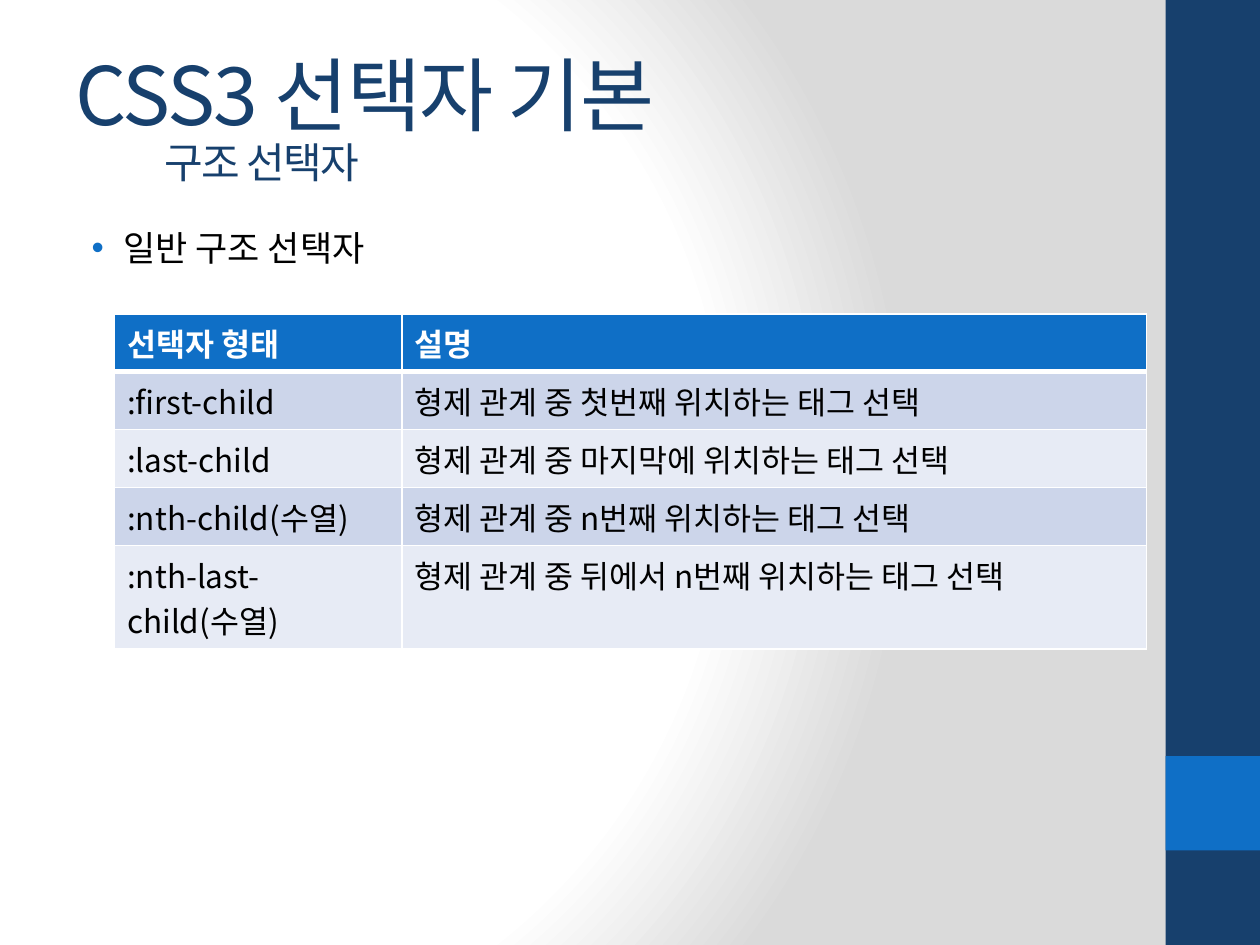
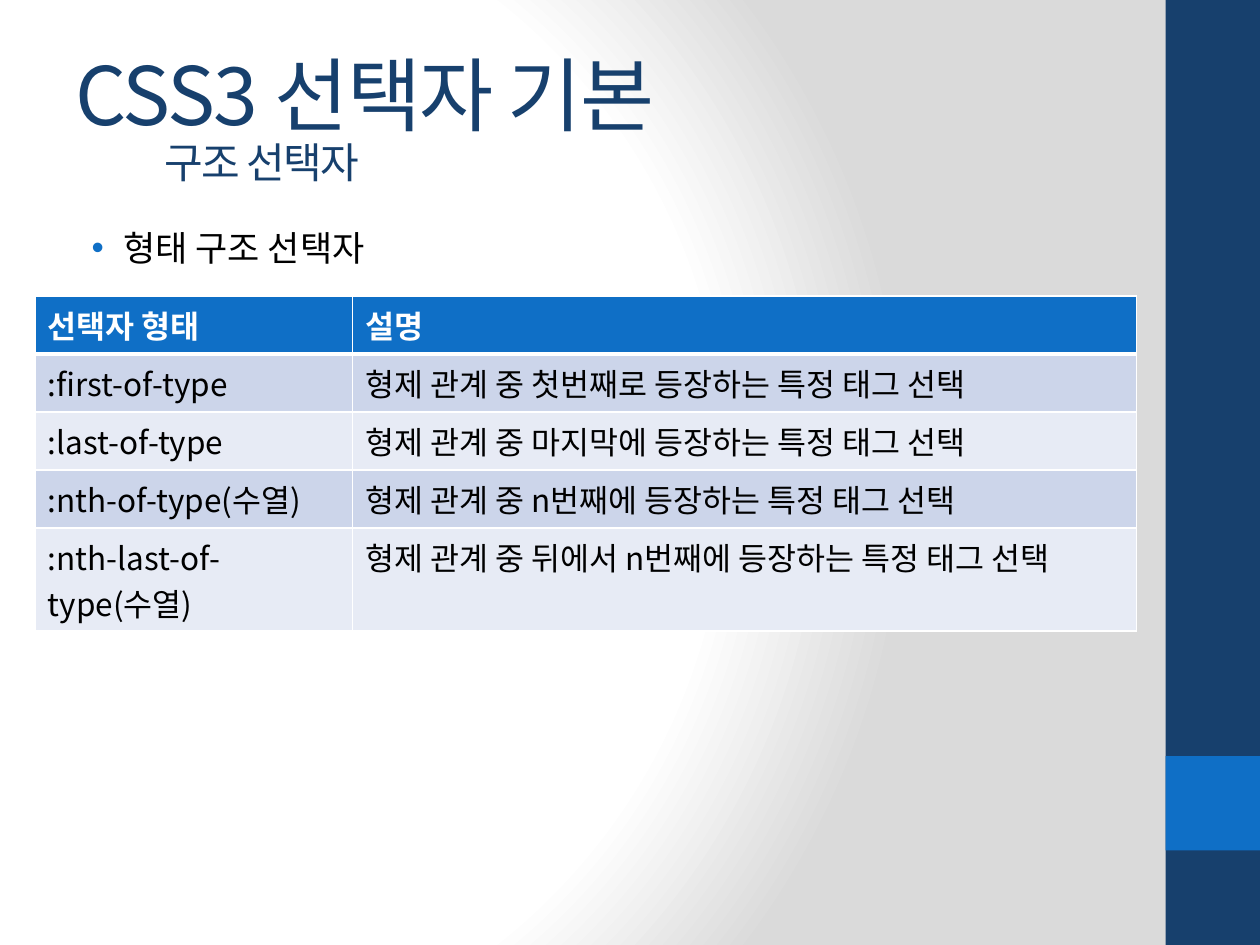
from dataclasses import dataclass
from pptx import Presentation
from pptx.dml.color import RGBColor
from pptx.enum.shapes import MSO_SHAPE
from pptx.enum.text import MSO_ANCHOR
from pptx.oxml import parse_xml
from pptx.oxml.ns import nsdecls, qn
from pptx.util import Inches, Pt


@dataclass(frozen=True)
class Theme:
    font: str = "Noto Sans CJK KR"
    navy: str = "17406D"
    blue: str = "0F6FC6"
    white: str = "FFFFFF"
    black: str = "000000"
    gray: str = "DADADA"
    bands: tuple = ("CCD5EA", "E7EBF5")
    title: int = 46
    sub: int = 24
    body: int = 20
    cell: int = 18


def write(para, text, size, color, font, bold=False, track=0, space=None, left=0, hang=0):
    run = para.add_run()
    run.text = text
    run.font.size = Pt(size)
    run.font.bold = bold
    run.font.name = font
    run.font.color.rgb = RGBColor.from_string(color)
    if track:
        run.font._element.set("spc", str(track * 100))
    if space:
        para.line_spacing = space
    if left:
        pPr = para._p.get_or_add_pPr()
        pPr.set("marL", str(Inches(left)))
        pPr.set("indent", str(Inches(hang)))


class Deck:
    """Builds slides in one shared style."""

    def __init__(self, theme):
        self.theme = theme
        self.prs = Presentation()
        self.prs.slide_width, self.prs.slide_height = Inches(10), Inches(7.5)
        self.slide = None

    def start(self):
        self.slide = self.prs.slides.add_slide(self.prs.slide_layouts[6])
        self.glow()
        self.band(0, 7.5, self.theme.navy)
        self.band(6, 0.75, self.theme.blue)

    def glow(self):
        t = self.theme
        self.slide.background.fill.solid()
        props = self.slide._element.find(".//" + qn("p:bgPr"))
        stops = "".join(
            f'<a:gs pos="{pos * 1000}"><a:srgbClr val="{color}"/></a:gs>'
            for pos, color in ((0, t.white), (75, t.white), (100, t.gray)))
        props.replace(props[0], parse_xml(
            f'<a:gradFill {nsdecls("a")} rotWithShape="1"><a:gsLst>{stops}</a:gsLst>'
            '<a:path path="circle"><a:fillToRect l="20000" t="50000" r="100000" b="50000"/>'
            '</a:path></a:gradFill>'))

    def band(self, top, height, color):
        shape = self.slide.shapes.add_shape(
            MSO_SHAPE.RECTANGLE, Inches(9.25), Inches(top), Inches(0.75), Inches(height))
        shape.shadow.inherit = False
        shape.fill.solid()
        shape.fill.fore_color.rgb = RGBColor.from_string(color)
        shape.line.fill.background()

    def frame(self, top, height):
        box = self.slide.shapes.add_textbox(
            Inches(0.5), Inches(top), Inches(8.33), Inches(height))
        box.text_frame.word_wrap = True
        return box.text_frame

    def title(self, head, sub):
        t = self.theme
        frame = self.frame(0.3, 1.25)
        frame.vertical_anchor = MSO_ANCHOR.MIDDLE
        write(frame.paragraphs[0], head, t.title, t.navy, t.font, track=-1)
        write(frame.add_paragraph(), sub, t.sub, t.navy, t.font, track=-1, space=0.91, left=0.71)

    def bullet(self, text):
        t = self.theme
        para = self.frame(1.75, 5.25).paragraphs[0]
        write(para, text, t.body, t.black, t.font, left=0.38, hang=-0.25)
        for mark in (f'<a:buClr {nsdecls("a")}><a:srgbClr val="{t.blue}"/></a:buClr>',
                     f'<a:buFont {nsdecls("a")} typeface="Arial"/>',
                     f'<a:buChar {nsdecls("a")} char="•"/>'):
            para._p.pPr.append(parse_xml(mark))

    def edge(self, cell, row):
        props = cell._tc.get_or_add_tcPr()
        thick = {"T": 3 if row == 1 else 1, "B": 3 if row == 0 else 1}
        for side in "LRTB":
            props.append(parse_xml(
                f'<a:ln{side} {nsdecls("a")} w="{Pt(thick.get(side, 1))}"><a:solidFill>'
                f'<a:srgbClr val="{self.theme.white}"/></a:solidFill></a:ln{side}>'))

    def table(self, left, top, widths, rows):
        t = self.theme
        tall = [0.46] * (len(rows) - 1) + [0.82]
        grid = self.slide.shapes.add_table(
            len(rows), len(widths), Inches(left), Inches(top),
            Inches(sum(widths)), Inches(sum(tall))).table
        for col, width in zip(grid.columns, widths):
            col.width = Inches(width)
        for i, row in enumerate(rows):
            grid.rows[i].height = Inches(tall[i])
            for j, text in enumerate(row):
                cell = grid.cell(i, j)
                self.edge(cell, i)
                cell.fill.solid()
                fill = t.bands[(i - 1) % 2] if i else t.blue
                cell.fill.fore_color.rgb = RGBColor.from_string(fill)
                write(cell.text_frame.paragraphs[0], text, t.cell,
                      t.black if i else t.white, t.font, bold=i == 0)


def main():
    deck = Deck(Theme())
    head = ("선택자 형태", "설명")
    pages = (
        ("일반 구조 선택자", 0.91, 2.49, (2.28, 5.91), (
            (":first-child", "형제 관계 중 첫번째 위치하는 태그 선택"),
            (":last-child", "형제 관계 중 마지막에 위치하는 태그 선택"),
            (":nth-child(수열)", "형제 관계 중 n번째 위치하는 태그 선택"),
            (":nth-last-child(수열)", "형제 관계 중 뒤에서 n번째 위치하는 태그 선택"))),
        ("형태 구조 선택자", 0.28, 2.35, (2.52, 6.22), (
            (":first-of-type", "형제 관계 중 첫번째로 등장하는 특정 태그 선택"),
            (":last-of-type", "형제 관계 중 마지막에 등장하는 특정 태그 선택"),
            (":nth-of-type(수열)", "형제 관계 중 n번째에 등장하는 특정 태그 선택"),
            (":nth-last-of-type(수열)", "형제 관계 중 뒤에서 n번째에 등장하는 특정 태그 선택"))),
    )
    for topic, left, top, widths, rows in pages:
        deck.start()
        deck.title("CSS3 선택자 기본", "구조 선택자")
        deck.bullet(topic)
        deck.table(left, top, widths, (head, *rows))
    deck.prs.save("out.pptx")


if __name__ == "__main__":
    main()
